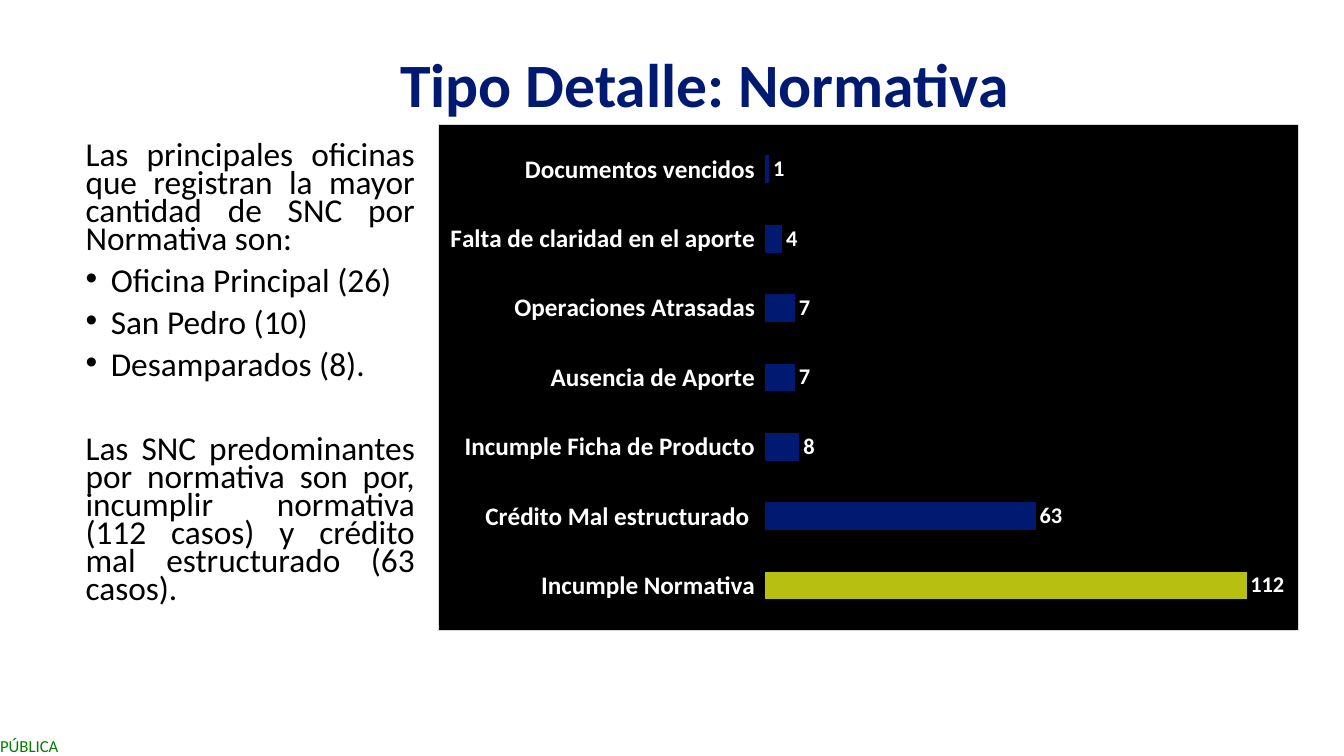
from lxml import etree
from pptx import Presentation
from pptx.chart.data import CategoryChartData
from pptx.dml.color import RGBColor
from pptx.enum.chart import XL_CHART_TYPE, XL_LABEL_POSITION, XL_TICK_LABEL_POSITION, XL_TICK_MARK
from pptx.enum.text import MSO_ANCHOR, PP_ALIGN
from pptx.oxml import parse_xml
from pptx.oxml.ns import nsdecls, qn
from pptx.util import Inches, Pt

BAR = XL_CHART_TYPE.BAR_CLUSTERED
OUTSIDE = XL_LABEL_POSITION.OUTSIDE_END
LOW = XL_TICK_LABEL_POSITION.LOW
NO_TICK = XL_TICK_MARK.NONE
MIDDLE, TOP = MSO_ANCHOR.MIDDLE, MSO_ANCHOR.TOP
LEFT, CENTER, JUSTIFY = PP_ALIGN.LEFT, PP_ALIGN.CENTER, PP_ALIGN.JUSTIFY

WIDTH, HEIGHT = Inches(13.33), Inches(7.5)
FONT = "Calibri"
COLORS = {"navy": "001A72", "lime": "B7BF10", "black": "000000",
          "white": "FFFFFF", "green": "008000", "border": "D9D9D9"}

TITLE = "Tipo Detalle: Normativa"
CLASSIFICATION = "PÚBLICA"
BODY = [
    {"text": "Las principales oficinas que registran la mayor cantidad de SNC por Normativa son:",
     "before": 0, "bullet": False},
    {"text": "Oficina Principal (26)", "before": 10, "bullet": True},
    {"text": "San Pedro (10)", "before": 10, "bullet": True},
    {"text": "Desamparados (8).", "before": 10, "bullet": True},
    {"text": "Las SNC predominantes por normativa son por, incumplir normativa (112 casos) "
             "y crédito mal estructurado (63 casos).", "before": 40, "bullet": False},
]
CASES = {
    "Incumple Normativa": 112,
    "Crédito Mal estructurado ": 63,
    "Incumple Ficha de Producto": 8,
    "Ausencia de Aporte": 7,
    "Operaciones Atrasadas": 7,
    "Falta de claridad en el aporte": 4,
    "Documentos vencidos": 1,
}
AREAS = {
    "title": (9.3, 1.87, 86.27, 19.33),
    "body": (5.63, 18.4, 25.96, 63.2),
    "chart": (32.56, 16.4, 64.07, 67.07),
    "classification": (0, 97.33, 6.23, 2.67),
}
PLOT_SHARES = {"x": 0.38, "y": 0.02, "w": 0.6, "h": 0.96}


def place(name):
    sides = (WIDTH, HEIGHT, WIDTH, HEIGHT)
    return [round(side * share / 100) for side, share in zip(sides, AREAS[name])]


def apply(target, values):
    for name, value in values.items():
        setattr(target, name, value)


def style_font(font, size, color, bold=False):
    apply(font, {"name": FONT, "size": Pt(size), "bold": bold})
    font.color.rgb = RGBColor.from_string(COLORS[color])


def add_frame(slide, name, anchor=TOP, wrap=True):
    frame = slide.shapes.add_textbox(*place(name)).text_frame
    apply(frame, {"word_wrap": wrap, "vertical_anchor": anchor})
    return frame


def write(paragraph, text, size, color, bold=False, **layout):
    apply(paragraph, layout)
    run = paragraph.add_run()
    run.text = text
    style_font(run.font, size, color, bold)


def add_bullet(paragraph):
    properties = paragraph._p.get_or_add_pPr()
    properties.set("marL", str(Inches(0.25)))
    properties.set("indent", str(-Inches(0.25)))
    etree.SubElement(properties, qn("a:buFont")).set("typeface", "Arial")
    etree.SubElement(properties, qn("a:buChar")).set("char", "•")


def add_body(slide):
    frame = add_frame(slide, "body")
    for index, item in enumerate(BODY):
        paragraph = frame.add_paragraph() if index else frame.paragraphs[0]
        if item["bullet"]:
            add_bullet(paragraph)
        write(paragraph, item["text"], 23.8, "black", alignment=JUSTIFY,
              line_spacing=0.7, space_before=Pt(item["before"]))


def frame_chart(chart):
    chart_space = chart._chartSpace
    plot_area = chart_space.find(".//" + qn("c:plotArea"))
    for layout in plot_area.findall(qn("c:layout")):
        plot_area.remove(layout)
    shares = "".join(f'<c:{side} val="{share}"/>' for side, share in PLOT_SHARES.items())
    plot_area.insert(0, parse_xml(
        f'<c:layout {nsdecls("c")}><c:manualLayout><c:layoutTarget val="inner"/>'
        f'<c:xMode val="edge"/><c:yMode val="edge"/>{shares}</c:manualLayout></c:layout>'))
    chart_space.find(qn("c:chart")).addnext(parse_xml(
        f'<c:spPr {nsdecls("c", "a")}>'
        f'<a:solidFill><a:srgbClr val="{COLORS["black"]}"/></a:solidFill>'
        f'<a:ln w="{Pt(0.75)}"><a:solidFill><a:srgbClr val="{COLORS["border"]}"/></a:solidFill></a:ln>'
        '</c:spPr>'))


def add_cases_chart(slide):
    data = CategoryChartData()
    data.categories = list(CASES)
    data.add_series("Series 1", list(CASES.values()))
    chart = slide.shapes.add_chart(BAR, *place("chart"), data).chart
    apply(chart, {"has_legend": False, "has_title": False})
    style_font(chart.font, 10, "black")
    frame_chart(chart)

    categories, values = chart.category_axis, chart.value_axis
    apply(categories, {"major_tick_mark": NO_TICK, "minor_tick_mark": NO_TICK,
                       "tick_label_position": LOW, "has_major_gridlines": False})
    categories.format.line.fill.background()
    style_font(categories.tick_labels.font, 18, "white", True)
    apply(values, {"visible": False, "has_major_gridlines": False,
                   "minimum_scale": 0, "maximum_scale": 120})

    plot = chart.plots[0]
    apply(plot, {"gap_width": 150, "vary_by_categories": False})
    series = plot.series[0]
    for part, color in ((series, "navy"), (series.points[0], "lime")):
        part.format.fill.solid()
        part.format.fill.fore_color.rgb = RGBColor.from_string(COLORS[color])
    labels = series.data_labels
    apply(labels, {"show_value": True, "position": OUTSIDE})
    style_font(labels.font, 16, "white", True)


def main():
    presentation = Presentation()
    apply(presentation, {"slide_width": WIDTH, "slide_height": HEIGHT})
    slide = presentation.slides.add_slide(presentation.slide_layouts[6])

    classification = add_frame(slide, "classification", wrap=False)
    apply(classification, dict.fromkeys(
        ("margin_left", "margin_top", "margin_right", "margin_bottom"), 0))
    write(classification.paragraphs[0], CLASSIFICATION, 12, "green", alignment=LEFT)

    title = add_frame(slide, "title", MIDDLE)
    write(title.paragraphs[0], TITLE, 44, "navy", True, alignment=CENTER, line_spacing=0.9)
    add_body(slide)
    add_cases_chart(slide)
    presentation.save("out.pptx")


if __name__ == "__main__":
    main()
